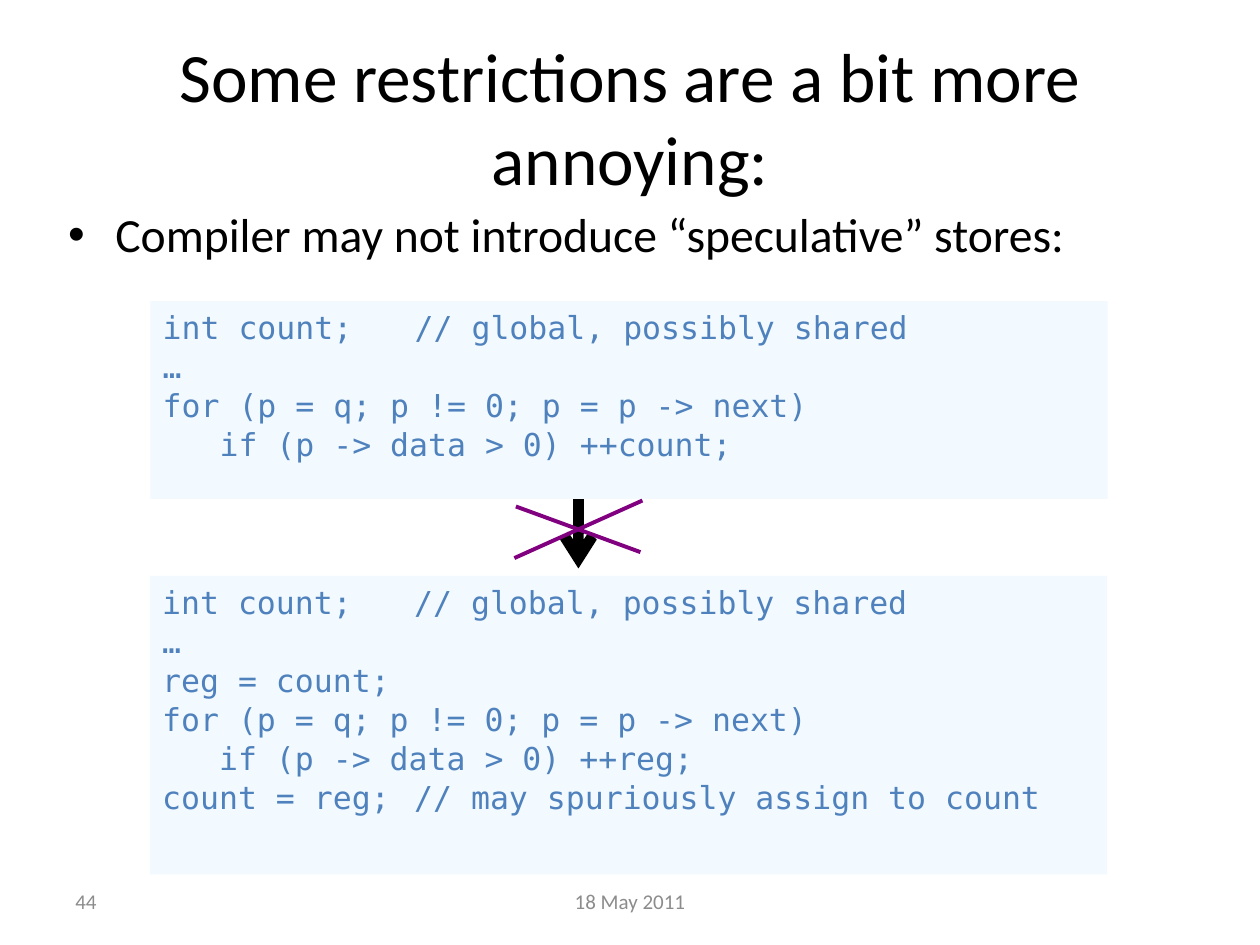
from lxml import etree
from pptx import Presentation
from pptx import util as u
from pptx.dml.color import RGBColor
from pptx.enum import shapes, text
from pptx.oxml import ns

BLACK = RGBColor(0x00, 0x00, 0x00)
GREY = RGBColor(0x8C, 0x8C, 0x8C)
BLUE = RGBColor(0x4F, 0x81, 0xBD)
PALE = RGBColor(0xCC, 0xEC, 0xFF)
PURPLE = RGBColor(0x80, 0x00, 0x80)

BEFORE = """int count;\t// global, possibly shared
…
for (p = q; p != 0; p = p -> next)
   if (p -> data > 0) ++count;"""
AFTER = """int count;\t// global, possibly shared
…
reg = count;
for (p = q; p != 0; p = p -> next)
   if (p -> data > 0) ++reg;
count = reg;\t// may spuriously assign to count"""


class Deck:
    """Holds the style and the current slide, and draws each kind of element."""

    body_font = "Calibri"
    code_font = "DejaVu Sans Mono"

    def __init__(self):
        self.prs = Presentation()
        self.prs.slide_width, self.prs.slide_height = u.Cm(25.4), u.Cm(19.05)
        self.s = self.prs.slides.add_slide(self.prs.slide_layouts[1])

    def style(self, p, size, color, name=body_font, align=text.PP_ALIGN.LEFT):
        p.alignment = align
        p.font.size, p.font.name = u.Pt(size), name
        p.font.color.rgb = color

    def sub(self, parent, tag, **attrs):
        return etree.SubElement(parent, ns.qn(tag), attrs)

    def place(self, sp, x, y, w, h):
        sp.left, sp.top, sp.width, sp.height = map(u.Cm, (x, y, w, h))
        sp.text_frame.auto_size = text.MSO_AUTO_SIZE.NONE

    def title(self, words, *box):
        sp = self.s.shapes.title
        self.place(sp, *box)
        sp.text_frame.text = words
        sp.text_frame.vertical_anchor = text.MSO_ANCHOR.MIDDLE
        self.style(sp.text_frame.paragraphs[0], 39.6, BLACK, align=text.PP_ALIGN.CENTER)

    def bullet(self, words, *box):
        sp = self.s.placeholders[1]
        self.place(sp, *box)
        sp.text_frame.text = words
        p = sp.text_frame.paragraphs[0]
        p.space_before = u.Pt(0)
        pPr = p._p.get_or_add_pPr()
        pPr.set("marL", str(u.Cm(0.95)))
        pPr.set("indent", str(-u.Cm(0.95)))
        self.sub(pPr, "a:buChar", char="•")
        self.style(p, 27.2, BLACK)

    def footer(self, words, align, *box):
        sp = self.s.shapes.add_textbox(*map(u.Cm, box))
        tf = sp.text_frame
        tf.word_wrap = True
        tf.vertical_anchor = text.MSO_ANCHOR.MIDDLE
        tf.text = words
        self.style(tf.paragraphs[0], 12, GREY, align=align)

    def code(self, words, *box):
        sp = self.s.shapes.add_shape(shapes.MSO_SHAPE.RECTANGLE, *map(u.Cm, box))
        sp.shadow.inherit = False
        sp.line.fill.background()
        sp.fill.solid()
        sp.fill.fore_color.rgb = PALE
        color = sp.fill._xPr.find(".//" + ns.qn("a:srgbClr"))
        self.sub(color, "a:alpha", val="25000")
        tf = sp.text_frame
        tf.word_wrap = True
        tf.vertical_anchor = text.MSO_ANCHOR.TOP
        tf.text = words
        for p in tf.paragraphs:
            p.line_spacing = 1.03
            self.style(p, 18, BLUE, self.code_font)

    def line(self, x1, y1, x2, y2, color, width, arrow=False):
        c = self.s.shapes.add_connector(
            shapes.MSO_CONNECTOR.STRAIGHT, *map(u.Cm, (x1, y1, x2, y2)))
        c.line.color.rgb, c.line.width = color, u.Pt(width)
        if arrow:
            self.sub(c.line._get_or_add_ln(), "a:tailEnd", type="arrow")
        self.sub(c._element.spPr, "a:effectLst")


def main():
    d = Deck()
    d.footer("44", text.PP_ALIGN.LEFT, 1.27, 17.65, 5.92, 1.02)
    d.footer("18 May 2011", text.PP_ALIGN.CENTER, 8.68, 17.65, 8.04, 1.02)
    d.title("Some restrictions are a bit more annoying:", 1.27, 0.76, 22.86, 3.18)
    d.bullet("Compiler may not introduce “speculative” stores:", 1.12, 4.01, 22.53, 1.83)
    d.code(BEFORE, 3.03, 6.07, 19.3, 3.99)
    d.line(11.66, 10.06, 11.66, 11.46, BLACK, 6, arrow=True)
    d.line(10.4, 10.21, 12.91, 11.13, PURPLE, 2.25)
    d.line(10.37, 11.25, 12.95, 10.09, PURPLE, 2.25)
    d.code(AFTER, 3.02, 11.61, 19.3, 6.02)
    d.prs.save("out.pptx")


if __name__ == "__main__":
    main()
